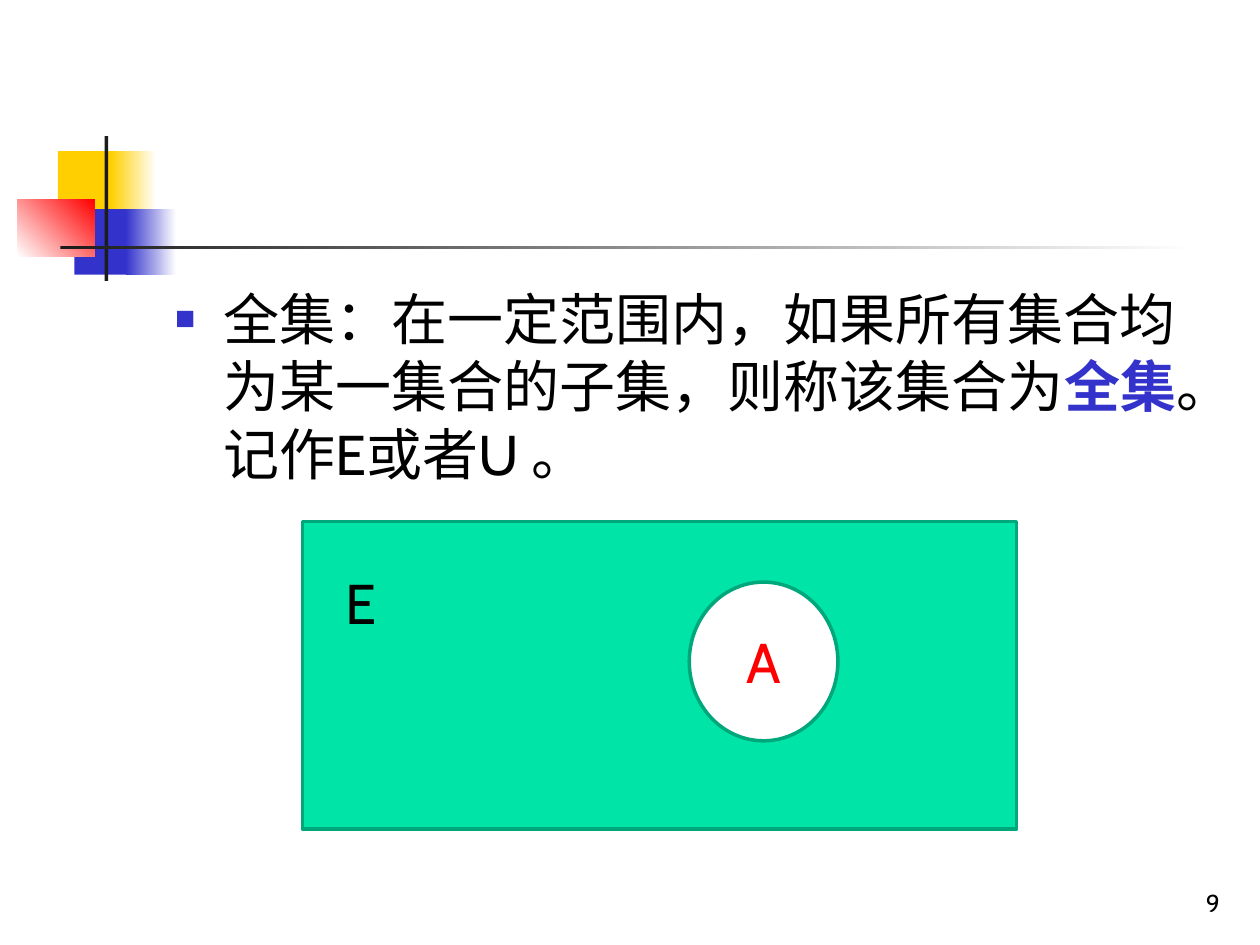
from dataclasses import dataclass

from lxml import etree
from pptx import Presentation
from pptx.dml.color import RGBColor
from pptx.enum.shapes import MSO_SHAPE
from pptx.enum.text import MSO_ANCHOR, MSO_AUTO_SIZE, PP_ALIGN
from pptx.oxml.ns import qn
from pptx.util import Inches, Pt

RECTANGLE, OVAL = MSO_SHAPE.RECTANGLE, MSO_SHAPE.OVAL
LEFT, CENTER, RIGHT = PP_ALIGN.LEFT, PP_ALIGN.CENTER, PP_ALIGN.RIGHT
TOP, MIDDLE, BOTTOM = MSO_ANCHOR.TOP, MSO_ANCHOR.MIDDLE, MSO_ANCHOR.BOTTOM
NO_AUTOSIZE = MSO_AUTO_SIZE.NONE
TITLE_AND_CONTENT = 1


@dataclass(frozen=True)
class Theme:
    font: str = "Cabin"
    text_size: int = 32
    number_size: int = 14
    outline_width: int = 2
    black: str = "000000"
    white: str = "FFFFFF"
    yellow: str = "FFCF01"
    blue: str = "3333CC"
    red: str = "FF0000"
    charcoal: str = "1C1C1C"
    green: str = "00E4A8"
    dark_green: str = "00A77A"


THEME = Theme()


def color(value):
    return RGBColor.from_string(value)


def set_attributes(target, **values):
    for name, value in values.items():
        setattr(target, name, value)


def place(shape, box):
    names = ("left", "top", "width", "height")
    set_attributes(shape, **dict(zip(names, map(Inches, box))))


def add_run(paragraph, text, text_color=THEME.black, size=THEME.text_size, bold=False):
    run = paragraph.add_run()
    run.text = text
    set_attributes(run.font, name=THEME.font, size=Pt(size), bold=bold)
    run.font.color.rgb = color(text_color)


def add_block(slide, box, fill, outline=None, kind=RECTANGLE, angle=0):
    """Add a shape; a pair of colours as fill makes a linear gradient."""
    shape = slide.shapes.add_shape(kind, *map(Inches, box))
    shape.shadow.inherit = False
    if isinstance(fill, tuple):
        shape.fill.gradient()
        shape.fill.gradient_angle = angle
        for stop, stop_color in zip(shape.fill.gradient_stops, fill):
            stop.color.rgb = color(stop_color)
    else:
        shape.fill.solid()
        shape.fill.fore_color.rgb = color(fill)
    if outline:
        shape.line.color.rgb = color(outline)
        shape.line.width = Pt(THEME.outline_width)
    else:
        shape.line.fill.background()
    return shape


def write_label(shape, text, align=LEFT, anchor=TOP, wrap=True, **run_format):
    frame = shape.text_frame
    set_attributes(frame, word_wrap=wrap, vertical_anchor=anchor)
    paragraph = frame.paragraphs[0]
    paragraph.alignment = align
    add_run(paragraph, text, **run_format)


def add_label(slide, box, text, **label_format):
    write_label(slide.shapes.add_textbox(*map(Inches, box)), text, **label_format)


def add_square_bullet(paragraph):
    properties = paragraph._p.get_or_add_pPr()
    indent = Inches(0.38)
    properties.set("marL", str(indent))
    properties.set("indent", str(-indent))
    bullet_color = etree.SubElement(properties, qn("a:buClr"))
    etree.SubElement(bullet_color, qn("a:srgbClr"), val=THEME.blue)
    etree.SubElement(properties, qn("a:buSzPct"), val="60000")
    etree.SubElement(properties, qn("a:buChar"), char="■")


def add_corner_ornament(slide):
    yellow_fade = (THEME.yellow, THEME.white)
    blue_fade = (THEME.blue, THEME.white)
    add_block(slide, (0.46, 1.2, 0.48, 0.52), THEME.yellow)
    add_block(slide, (0.88, 1.2, 0.36, 0.52), yellow_fade)
    add_block(slide, (0.59, 1.66, 0.46, 0.52), THEME.blue)
    add_block(slide, (1, 1.66, 0.4, 0.52), blue_fade)
    add_block(slide, (0.14, 1.58, 0.61, 0.46), (THEME.white, THEME.red), angle=45)
    add_block(slide, (0.83, 1.08, 0.03, 1.15), THEME.charcoal)
    add_block(slide, (0.48, 1.95, 9, 0.03), (THEME.charcoal, THEME.white))


def fill_definition(body):
    place(body, (1.29, 2.21, 8.5, 4.5))
    set_attributes(body.text_frame, word_wrap=True, auto_size=NO_AUTOSIZE,
                   vertical_anchor=TOP)
    paragraph = body.text_frame.paragraphs[0]
    add_square_bullet(paragraph)
    paragraph.space_before = Pt(0)
    add_run(paragraph, "全集：在一定范围内，如果所有集合均为某一集合的子集，则称该集合为")
    add_run(paragraph, "全集", THEME.blue, bold=True)
    add_run(paragraph, "。记作E或者U 。")


def add_set_diagram(slide):
    add_block(slide, (2.4, 4.14, 5.67, 2.44), THEME.green, THEME.dark_green)
    add_label(slide, (2.64, 4.46, 0.44, 0.64), "E", wrap=False)
    subset = add_block(slide, (5.47, 4.62, 1.18, 1.26), THEME.white,
                       THEME.dark_green, OVAL)
    write_label(subset, "A", CENTER, MIDDLE, text_color=THEME.red)


def main():
    presentation = Presentation()
    set_attributes(presentation, slide_width=Inches(10), slide_height=Inches(7.5))
    layout = presentation.slide_layouts[TITLE_AND_CONTENT]
    slide = presentation.slides.add_slide(layout)
    title = slide.shapes.title.element
    title.getparent().remove(title)

    add_corner_ornament(slide)
    fill_definition(slide.placeholders[1])
    add_set_diagram(slide)
    add_label(slide, (7.7, 6.83, 2.08, 0.5), "9", align=RIGHT, anchor=BOTTOM,
              size=THEME.number_size)
    presentation.save("out.pptx")


if __name__ == "__main__":
    main()
